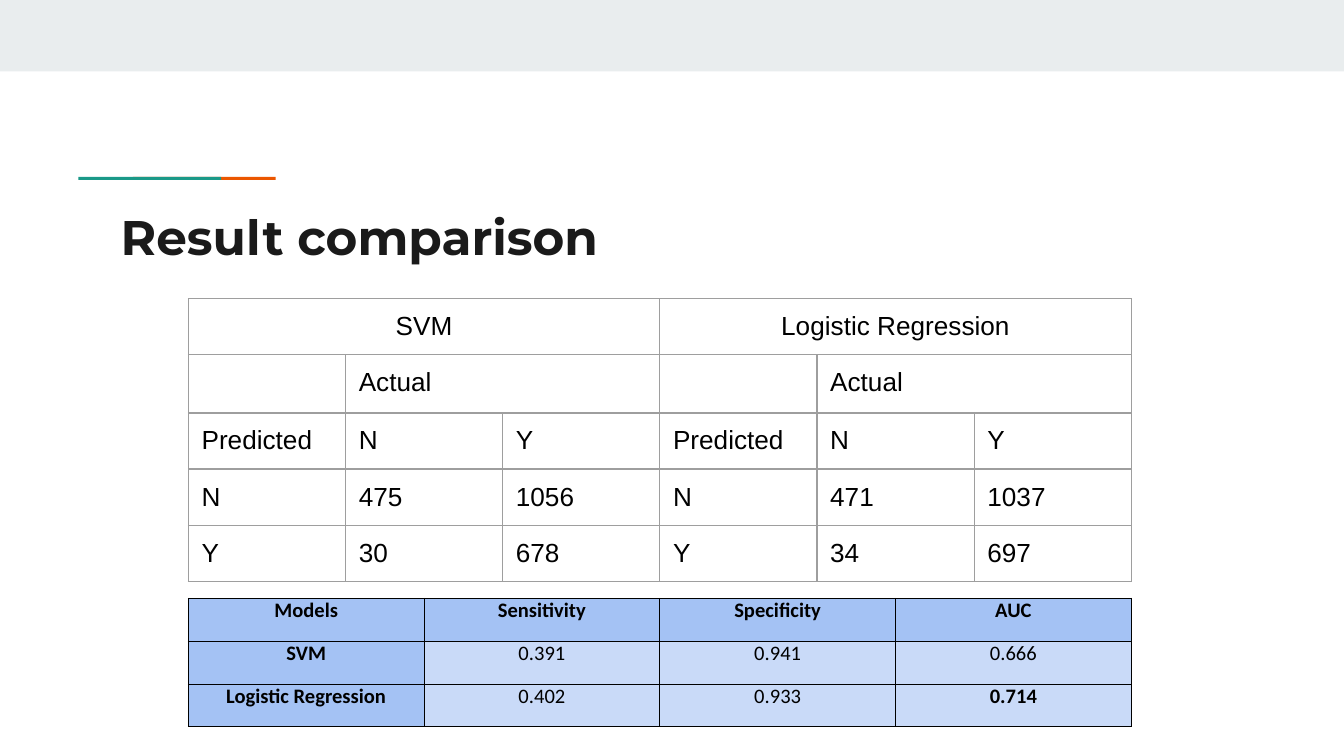
import pptx
import pptx.util
import pptx.dml.color
import pptx.enum.shapes
import pptx.enum.text
import pptx.oxml
import pptx.oxml.ns
from pptx.util import Cm

# Content
TITLE = "Result comparison"
CONFUSION = [
    ("SVM", [["N", "475", "1056"], ["Y", "30", "678"]]),
    ("Logistic Regression", [["N", "471", "1037"], ["Y", "34", "697"]]),
]
METRICS = [
    ["Models", "Sensitivity", "Specificity", "AUC"],
    ["SVM", "0.391", "0.941", "0.666"],
    ["Logistic Regression", "0.402", "0.933", "0.714"],
]
BEST = "0.714"

COLOURS = {
    "band": "E9EDEE", "orange": "EB5600", "green": "1A9988", "title": "1A1A1A",
    "text": "000000", "grid": "9E9E9E", "head": "A4C2F4", "body": "C9DAF8",
}
# Bars in cm: colour, left, top, width, height
BARS = [
    ("band", 0, 0, 25.4, 1.35),
    ("orange", 2.51, 3.34, 2.7, 0.06),
    ("green", 1.48, 3.34, 2.7, 0.06),
]
TABLE_LEFT, TABLE_WIDTH = 3.56, 17.82
CENTRE = pptx.enum.text.PP_ALIGN.CENTER
LEFT = pptx.enum.text.PP_ALIGN.LEFT


def colour(name):
    return pptx.dml.color.RGBColor.from_string(COLOURS[name])


def set_all(target, values):
    for name, value in values.items():
        setattr(target, name, value)


def style_text(frame, size, font, ink, bold, align):
    para = frame.paragraphs[0]
    para.alignment = align
    for span in para.runs:
        set_all(span.font, {"size": pptx.util.Pt(size), "name": font, "bold": bold})
        span.font.color.rgb = colour(ink)


def set_margins(cell, across, down):
    set_all(cell, {"margin_left": Cm(across), "margin_right": Cm(across),
                   "margin_top": Cm(down), "margin_bottom": Cm(down)})


def add_borders(cell, ink, points):
    properties = cell._tc.get_or_add_tcPr()
    for index, side in enumerate(("lnL", "lnR", "lnT", "lnB")):
        line = pptx.oxml.parse_xml(
            f'<a:{side} {pptx.oxml.ns.nsdecls("a")} w="{int(points * 12700)}">'
            f'<a:solidFill><a:srgbClr val="{COLOURS[ink]}"/></a:solidFill></a:{side}>')
        properties.insert(index, line)


def add_grid(page, rows, left, top, width, heights):
    columns = len(rows[0])
    grid = page.shapes.add_table(len(rows), columns, Cm(left), Cm(top),
                                 Cm(width), Cm(sum(heights))).table
    set_all(grid, {"first_row": False, "horz_banding": False})
    for column in grid.columns:
        column.width = Cm(width / columns)
    for row, height in zip(grid.rows, heights):
        row.height = Cm(height)
    for r, texts in enumerate(rows):
        for c, text in enumerate(texts):
            if text:
                grid.cell(r, c).text = text
    return grid


def add_metrics(page):
    grid = add_grid(page, METRICS, TABLE_LEFT, 11.3, TABLE_WIDTH, [0.81] * 3)
    for r, texts in enumerate(METRICS):
        for c, text in enumerate(texts):
            cell = grid.cell(r, c)
            heading = r == 0 or c == 0
            set_margins(cell, 0.18, 0)
            cell.fill.solid()
            cell.fill.fore_color.rgb = colour("head" if heading else "body")
            style_text(cell.text_frame, 11, "Calibri", "text",
                       heading or text == BEST, CENTRE)
            add_borders(cell, "text", 0.5)


def add_confusion(page, index, model, counts):
    rows = [[model, "", ""], ["", "Actual", ""], ["Predicted", "N", "Y"]] + counts
    width = TABLE_WIDTH / len(CONFUSION)
    grid = add_grid(page, rows, TABLE_LEFT + index * width, 5.64, width,
                    [1.06, 1.1, 1.06, 1.06, 1.06])
    for r, texts in enumerate(rows):
        for c, text in enumerate(texts):
            cell = grid.cell(r, c)
            # Empty cells need no padding, so they never stretch a row
            set_margins(cell, 0.25, 0.25 if text else 0)
            cell.fill.background()
            style_text(cell.text_frame, 14, "Arial", "text", False,
                       CENTRE if r == 0 else LEFT)
            add_borders(cell, "grid", 0.75)
    grid.cell(0, 0).merge(grid.cell(0, 2))
    grid.cell(1, 1).merge(grid.cell(1, 2))


def main():
    deck = pptx.Presentation()
    set_all(deck, {"slide_width": Cm(25.4), "slide_height": Cm(14.28)})
    page = deck.slides.add_slide(deck.slide_layouts[5])

    # Top band and accent line
    for ink, *place in BARS:
        bar = page.shapes.add_shape(pptx.enum.shapes.MSO_SHAPE.RECTANGLE,
                                    *[Cm(length) for length in place])
        bar.shadow.inherit = False
        bar.fill.solid()
        bar.fill.fore_color.rgb = colour(ink)
        bar.line.fill.background()

    # Tables
    add_metrics(page)
    for index, (model, counts) in enumerate(CONFUSION):
        add_confusion(page, index, model, counts)

    # Title
    box = page.shapes.title
    set_all(box, {"left": Cm(2.03), "top": Cm(3.66),
                  "width": Cm(21.36), "height": Cm(1.5)})
    frame = box.text_frame
    frame.text = TITLE
    set_all(frame, {"margin_left": Cm(0.25), "margin_right": Cm(0.25),
                    "margin_top": Cm(0.25), "margin_bottom": Cm(0.25),
                    "word_wrap": True,
                    "auto_size": pptx.enum.text.MSO_AUTO_SIZE.NONE,
                    "vertical_anchor": pptx.enum.text.MSO_ANCHOR.TOP})
    style_text(frame, 26, "Montserrat", "title", True, LEFT)

    deck.save("out.pptx")


if __name__ == "__main__":
    main()
